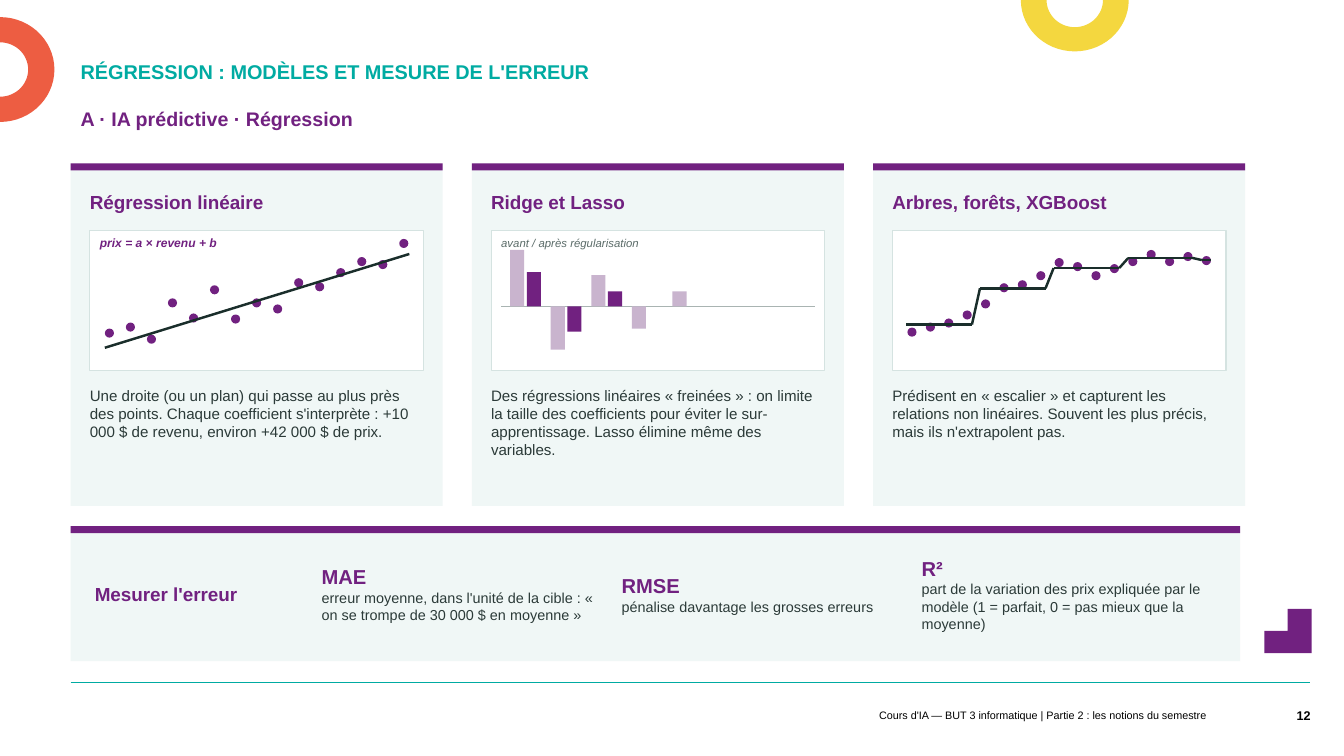
import dataclasses
import math

import pptx
import pptx.dml.color
import pptx.enum.shapes
import pptx.enum.text
import pptx.oxml.ns
import pptx.util
import lxml.etree

COLUMNS, ROWS = 1333, 750
CELL = pptx.util.Inches(0.01)
DOT = 9
SHAPE = pptx.enum.shapes.MSO_SHAPE
ALIGN = pptx.enum.text.PP_ALIGN
ANCHOR = pptx.enum.text.MSO_ANCHOR


@dataclasses.dataclass(frozen=True)
class Theme:
    """Colours and type sizes of the course slides."""
    font: str = "Arial"
    purple: str = "712180"
    lilac: str = "C9B4CE"
    teal: str = "00ABA2"
    yellow: str = "F4D73F"
    coral: str = "ED5D42"
    panel: str = "F0F7F6"
    white: str = "FFFFFF"
    black: str = "000000"
    ink: str = "1A2E2B"
    body_ink: str = "2B3A38"
    muted: str = "5A6B68"
    axis: str = "A9B4B2"
    frame: str = "D5E3E1"
    title: float = 14.2
    subtitle: float = 14
    heading: float = 13.5
    metric: float = 14.4
    body: float = 10.8
    detail: float = 10.3
    formula: float = 8.6
    caption: float = 8.1
    footer: float = 7.7
    number: float = 9


THEME = Theme()


@dataclasses.dataclass(frozen=True)
class Box:
    """A rectangle in grid columns and rows."""
    left: float
    top: float
    width: float
    height: float

    def area(self, left, top, width, height):
        """Return a box placed relative to this one."""
        return Box(self.left + left, self.top + top, width, height)

    def point(self, column, row):
        """Return a grid point relative to this box."""
        return self.left + column, self.top + row

    def emu(self):
        """Return the position and size as lengths."""
        return [cells(value) for value in dataclasses.astuple(self)]


def cells(count):
    """Convert grid cells to a length."""
    return pptx.util.Emu(round(count * CELL))


def rgb(code):
    """Return a colour from its hexadecimal code."""
    return pptx.dml.color.RGBColor.from_string(code)


def paint(shape, fill, line=None):
    """Give a shape a flat fill and an optional thin outline."""
    shape.shadow.inherit = False
    shape.fill.solid()
    shape.fill.fore_color.rgb = rgb(fill)
    if line:
        shape.line.color.rgb = rgb(line)
        shape.line.width = pptx.util.Pt(0.75)
    else:
        shape.line.fill.background()


def add_block(page, box, fill, line=None, kind=SHAPE.RECTANGLE):
    """Add a preset shape."""
    paint(page.shapes.add_shape(kind, *box.emu()), fill, line)


def add_outline(page, points, fill):
    """Add a closed polygon."""
    corners = [(cells(x), cells(y)) for x, y in points]
    builder = page.shapes.build_freeform(*corners[0], scale=1.0)
    builder.add_line_segments(corners[1:], close=True)
    paint(builder.convert_to_shape(), fill)


def add_line(page, start, end, color, width):
    """Add a straight line between two grid points."""
    line = page.shapes.add_connector(
        pptx.enum.shapes.MSO_CONNECTOR.STRAIGHT,
        *[cells(value) for value in (*start, *end)])
    line.line.color.rgb = rgb(color)
    line.line.width = pptx.util.Pt(width)
    lxml.etree.SubElement(line._element.spPr, pptx.oxml.ns.qn("a:effectLst"))


def write(para, text, size, color, bold=False, italic=False):
    """Write one formatted span in a paragraph."""
    span = para.add_run()
    span.text = text
    span.font.name = THEME.font
    span.font.size = pptx.util.Pt(size)
    span.font.color.rgb = rgb(color)
    span.font.bold = bold
    span.font.italic = italic


def format_frame(frame, anchor, margins):
    """Set wrapping, anchor and margins of a text frame."""
    frame.word_wrap = True
    frame.auto_size = pptx.enum.text.MSO_AUTO_SIZE.NONE
    frame.vertical_anchor = anchor
    (frame.margin_left, frame.margin_top,
     frame.margin_right, frame.margin_bottom) = map(cells, margins)


def add_text(page, box, text, *, anchor=ANCHOR.TOP, margins=(0, 0, 0, 0),
             align=ALIGN.LEFT, spacing=None, **style):
    """Add a text box with one paragraph and return its frame."""
    frame = page.shapes.add_textbox(*box.emu()).text_frame
    format_frame(frame, anchor, margins)
    para = frame.paragraphs[0]
    para.alignment = align
    para.line_spacing = spacing
    write(para, text, **style)
    return frame


def half_ring(page, center, outer, inner, start, fill):
    """Draw half of a ring, clockwise from the start angle in degrees."""
    angles = [math.radians(start + 6 * step) for step in range(31)]
    arcs = [(outer, angle) for angle in angles]
    arcs += [(inner, angle) for angle in reversed(angles)]
    add_outline(page, [(center[0] + rx * math.cos(angle), center[1] + ry * math.sin(angle))
                       for (rx, ry), angle in arcs], fill)


def decorate(page, box):
    """Draw the rings, the corner steps and the footer rule."""
    half_ring(page, box.point(1066, 0), (53.5, 51), (28, 27), 0, THEME.yellow)
    half_ring(page, box.point(0, 69), (54, 52), (28, 27), -90, THEME.coral)
    steps = [(1277, 604), (1301, 604), (1301, 648), (1254, 648), (1254, 626), (1277, 626)]
    add_outline(page, [box.point(*step) for step in steps], THEME.purple)
    add_line(page, box.point(70, 677), box.point(1299, 677), THEME.teal, 0.5)


def add_header(page, box, title, subtitle):
    """Place the slide title and the section line below it."""
    holder = page.shapes.title
    holder.left, holder.top, holder.width, holder.height = box.area(0, 0, box.width, 34).emu()
    format_frame(holder.text_frame, ANCHOR.BOTTOM, (10, 5, 10, 5))
    para = holder.text_frame.paragraphs[0]
    para.alignment = ALIGN.LEFT
    para.line_spacing = pptx.util.Pt(16.7)
    write(para, title, THEME.title, THEME.teal, bold=True)
    add_text(page, box.area(0, 50, box.width, 46), subtitle, margins=(10, 5, 10, 5),
             spacing=0.9, size=THEME.subtitle, color=THEME.purple, bold=True)


def add_footer(page, box, text, number):
    """Place the course line and the page number."""
    add_text(page, box.area(0, 8, 663, 23), text, anchor=ANCHOR.MIDDLE, align=ALIGN.RIGHT,
             margins=(10, 5, 10, 5), size=THEME.footer, color=THEME.black)
    add_text(page, box.area(box.width - 55, 0, 55, 40), number, anchor=ANCHOR.MIDDLE,
             align=ALIGN.RIGHT, margins=(10, 5, 0, 5), size=THEME.number,
             color=THEME.black, bold=True)


def add_panel(page, box):
    """Draw a pale panel with a purple top band."""
    add_block(page, box, THEME.panel)
    add_block(page, box.area(0, 0, box.width, 7), THEME.purple)


def scatter(page, box, rows, trend):
    """Draw evenly spaced dots and the fitted line through them."""
    step = 292 / (len(rows) - 1)
    for index, row in enumerate(rows):
        add_block(page, box.area(15 + index * step, row, DOT, DOT), THEME.purple, kind=SHAPE.OVAL)
    for start, end in zip(trend, trend[1:]):
        add_line(page, box.point(*start), box.point(*end), THEME.ink, 1.75)


def draw_linear(page, box):
    """Draw the linear regression sketch."""
    scatter(page, box, [97, 91, 103, 67, 82, 54, 83, 67, 73, 47, 51, 37, 26, 29, 8],
            [(15, 116), (317, 23)])
    add_text(page, box.area(10, 5, 312, 26), "prix = a × revenu + b",
             size=THEME.formula, color=THEME.purple, bold=True, italic=True)


def draw_coefficients(page, box):
    """Draw the coefficients before and after regularisation."""
    axis = 75
    add_line(page, box.point(10, axis), box.point(321, axis), THEME.axis, 1)
    pairs = [(56, 34), (-43, -25), (31, 15), (-22, 0), (15, 0)]
    for index, pair in enumerate(pairs):
        for offset, value, color in zip((0, 16.5), pair, (THEME.lilac, THEME.purple)):
            if value:
                bar = box.area(19 + 40.25 * index + offset, axis - max(value, 0), 14, abs(value))
                add_block(page, bar, color)
    add_text(page, box.area(10, 5, 312, 26), "avant / après régularisation",
             size=THEME.caption, color=THEME.muted, italic=True)


def draw_tree(page, box):
    """Draw the staircase prediction sketch."""
    scatter(page, box,
            [96, 91, 87, 79, 68, 52, 49, 40, 27, 31, 40, 33, 26, 19, 26, 21, 25],
            [(14, 93), (79, 93), (87, 57), (152, 57), (160, 37), (225, 37),
             (234, 27), (298, 27), (307, 29), (316, 29)])


def add_card(page, box, heading, sketch, text):
    """Place one model card: heading, framed sketch and description."""
    add_panel(page, box)
    add_text(page, box.area(19, 15, 331, 46), heading, anchor=ANCHOR.MIDDLE,
             size=THEME.heading, color=THEME.purple, bold=True)
    frame = box.area(19, 67, 331, 139)
    add_block(page, frame, THEME.white, THEME.frame)
    sketch(page, frame)
    add_text(page, box.area(19, 221, 331, 108), text, size=THEME.body, color=THEME.body_ink)


def add_metrics(page, box, heading, metrics):
    """Place the error band with its metrics in equal columns."""
    add_panel(page, box)
    add_text(page, box.area(24, 11, 230, 113), heading, anchor=ANCHOR.MIDDLE,
             size=THEME.heading, color=THEME.purple, bold=True)
    for index, (name, meaning) in enumerate(metrics):
        frame = add_text(page, box.area(249 + 297.5 * index, 11, 283, 113), name,
                         anchor=ANCHOR.MIDDLE, size=THEME.metric, color=THEME.purple, bold=True)
        write(frame.add_paragraph(), meaning, THEME.detail, THEME.body_ink)


CARDS = [
    ("Régression linéaire", draw_linear,
     "Une droite (ou un plan) qui passe au plus près des points. Chaque coefficient "
     "s'interprète : +10 000 $ de revenu, environ +42 000 $ de prix."),
    ("Ridge et Lasso", draw_coefficients,
     "Des régressions linéaires « freinées » : on limite la taille des coefficients "
     "pour éviter le sur-apprentissage. Lasso élimine même des variables."),
    ("Arbres, forêts, XGBoost", draw_tree,
     "Prédisent en « escalier » et capturent les relations non linéaires. Souvent "
     "les plus précis, mais ils n'extrapolent pas."),
]
METRICS = [
    ("MAE", "erreur moyenne, dans l'unité de la cible : « on se trompe de 30 000 $ en moyenne »"),
    ("RMSE", "pénalise davantage les grosses erreurs"),
    ("R²", "part de la variation des prix expliquée par le modèle "
           "(1 = parfait, 0 = pas mieux que la moyenne)"),
]


def main():
    """Build the regression slide and save the deck."""
    deck = pptx.Presentation()
    deck.slide_width, deck.slide_height = cells(COLUMNS), cells(ROWS)
    page = deck.slides.add_slide(deck.slide_layouts.get_by_name("Title Only"))
    whole = Box(0, 0, COLUMNS, ROWS)
    decorate(page, whole)
    add_header(page, whole.area(70, 54, 972, 96),
               "RÉGRESSION : MODÈLES ET MESURE DE L'ERREUR", "A · IA prédictive · Régression")
    add_footer(page, whole.area(543, 690, 757, 40),
               "Cours d'IA — BUT 3 informatique | Partie 2 : les notions du semestre", "12")
    for index, card in enumerate(CARDS):
        add_card(page, whole.area(70 + 398 * index, 162, 369, 340), *card)
    add_metrics(page, whole.area(70, 522, 1160, 134), "Mesurer l'erreur", METRICS)
    deck.save("out.pptx")


if __name__ == "__main__":
    main()
